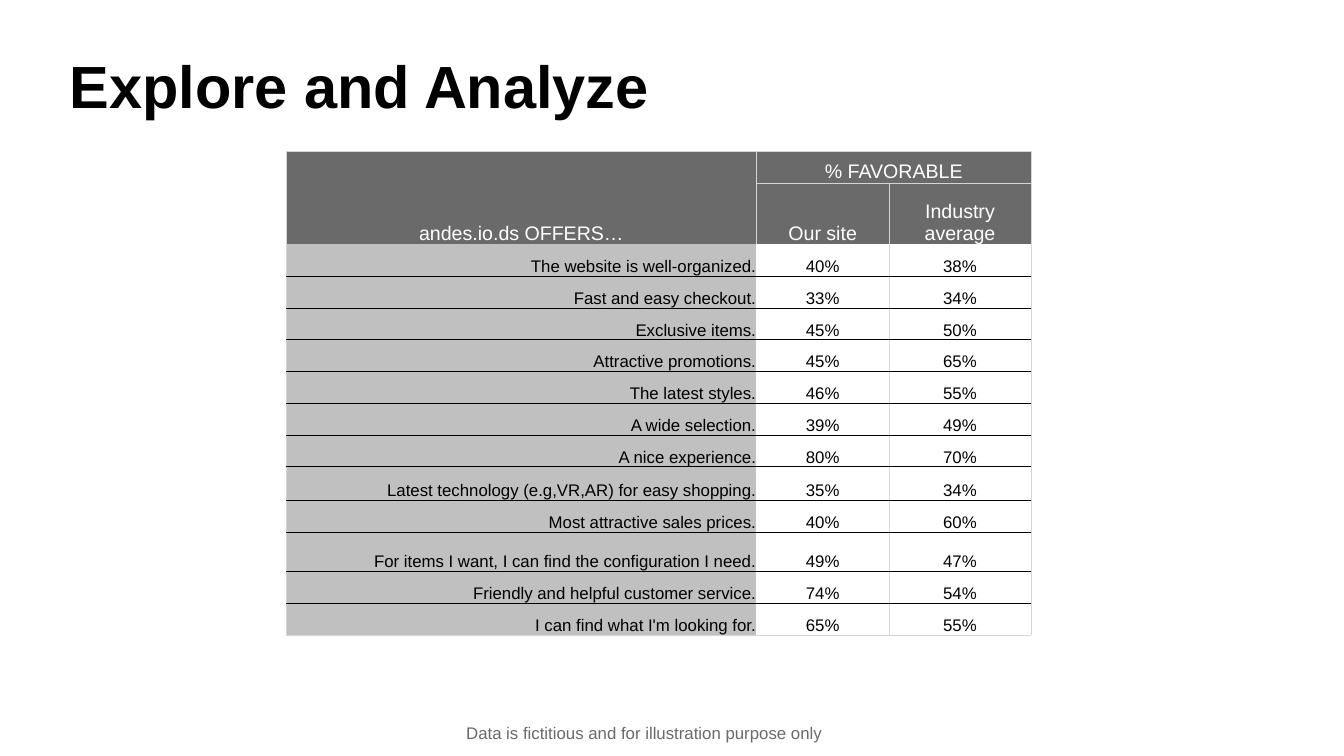
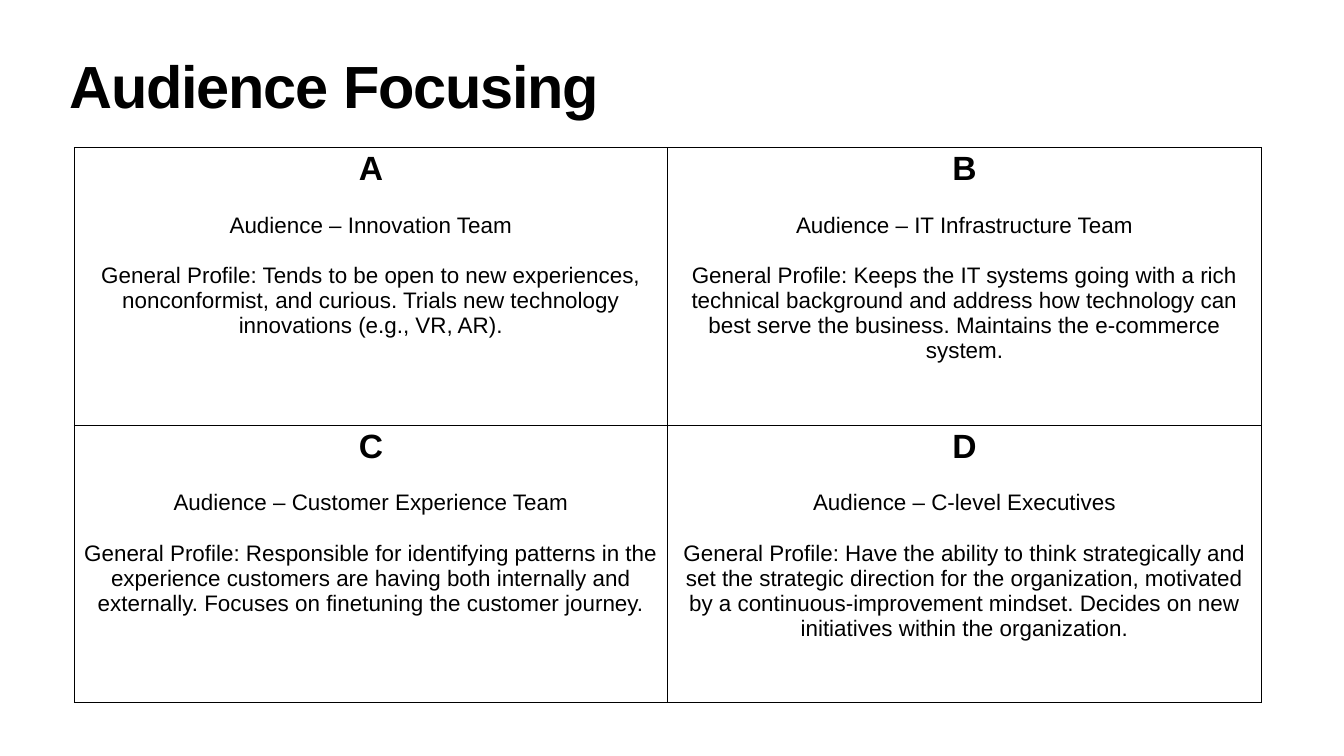
import dataclasses

import lxml.etree
import pptx
import pptx.dml.color
import pptx.enum.text
import pptx.oxml.ns
import pptx.util

Inches = pptx.util.Inches
Pt = pptx.util.Pt
ALIGN = pptx.enum.text.PP_ALIGN
ANCHOR = pptx.enum.text.MSO_ANCHOR
AUTO_SIZE = pptx.enum.text.MSO_AUTO_SIZE


@dataclasses.dataclass(frozen=True)
class Theme:
    font: str = "Arial"
    black: str = "000000"
    white: str = "FFFFFF"
    dark_gray: str = "6A6A6A"
    label_gray: str = "C0C0C0"
    rule_gray: str = "D5D5D5"
    title_size: float = 85
    letter_size: float = 48
    profile_size: float = 32
    header_size: float = 28
    body_size: float = 24
    profile_gap: float = 36
    rule_width: float = 1
    plain_table_style: str = "{2D5ABB26-0587-4C30-8999-92F81FD0307C}"


THEME = Theme()
TITLE_BOX = (1.32, 1.18, 24.03, 1.57)

SURVEY_COLUMNS = (9.33, 2.63, 2.82)
SURVEY_HEADER_HEIGHTS = (0.63, 1.22)
SURVEY_ROW_HEIGHT = 0.63
TALL_ROW_HEIGHTS = {7: 0.67, 9: 0.78}
SURVEY = [
    ("The website is well-organized.", 40, 38),
    ("Fast and easy checkout.", 33, 34),
    ("Exclusive items.", 45, 50),
    ("Attractive promotions.", 45, 65),
    ("The latest styles.", 46, 55),
    ("A wide selection.", 39, 49),
    ("A nice experience.", 80, 70),
    ("Latest technology (e.g,VR,AR) for easy shopping.", 35, 34),
    ("Most attractive sales prices.", 40, 60),
    ("For items I want, I can find the configuration I need.", 49, 47),
    ("Friendly and helpful customer service.", 74, 54),
    ("I can find what I'm looking for.", 65, 55),
]

AUDIENCES = [
    ("A", "Innovation Team",
     "Tends to be open to new experiences, nonconformist, and curious. "
     "Trials new technology innovations (e.g., VR, AR)."),
    ("B", "IT Infrastructure Team",
     "Keeps the IT systems going with a rich technical background and address how "
     "technology can best serve the business. Maintains the e-commerce system."),
    ("C", "Customer Experience Team",
     "Responsible for identifying patterns in the experience customers are having both "
     "internally and externally. Focuses on finetuning the customer journey."),
    ("D", "C-level Executives",
     "Have the ability to think strategically and set the strategic direction for the "
     "organization, motivated by a continuous-improvement mindset. "
     "Decides on new initiatives within the organization."),
]


def color(value):
    return pptx.dml.color.RGBColor.from_string(value)


def add_run(paragraph, text, size, text_color=THEME.black, bold=False):
    run = paragraph.add_run()
    run.text = text
    run.font.name = THEME.font
    run.font.size = Pt(size)
    run.font.bold = bold
    run.font.color.rgb = color(text_color)
    return run


def set_margins(target, left, top, right, bottom):
    target.margin_left, target.margin_top = Inches(left), Inches(top)
    target.margin_right, target.margin_bottom = Inches(right), Inches(bottom)


def add_titled_slide(presentation, title, spacing=0):
    """Add a slide; spacing is the title's letter spacing in points."""
    slide = presentation.slides.add_slide(presentation.slide_layouts[5])
    shape = slide.shapes.title
    shape.left, shape.top, shape.width, shape.height = map(Inches, TITLE_BOX)
    frame = shape.text_frame
    frame.word_wrap = True
    frame.auto_size = AUTO_SIZE.NONE
    frame.vertical_anchor = ANCHOR.TOP
    set_margins(frame, 0.06, 0.06, 0.06, 0.06)
    paragraph = frame.paragraphs[0]
    paragraph.alignment = ALIGN.LEFT
    paragraph.line_spacing = 0.8
    run = add_run(paragraph, title, THEME.title_size, bold=True)
    if spacing:
        run.font._element.set("spc", str(round(spacing * 100)))
    return slide


def add_plain_table(slide, left, top, column_widths, row_heights):
    frame = slide.shapes.add_table(
        len(row_heights), len(column_widths), Inches(left), Inches(top),
        Inches(sum(column_widths)), Inches(sum(row_heights)))
    table = frame.table
    table.first_row = table.horz_banding = False
    style = table._tbl.tblPr.find(pptx.oxml.ns.qn("a:tableStyleId"))
    style.text = THEME.plain_table_style
    for column, width in zip(table.columns, column_widths):
        column.width = Inches(width)
    for row, height in zip(table.rows, row_heights):
        row.height = Inches(height)
    return table


def format_cell(cell, borders, fill=None):
    """Draw borders, a map from side (L, R, T, B) to colour or None, then the fill."""
    properties = cell._tc.get_or_add_tcPr()
    qn = pptx.oxml.ns.qn
    for side in "LRTB":
        line = lxml.etree.SubElement(
            properties, qn("a:ln" + side), w=str(Pt(THEME.rule_width)))
        if borders.get(side):
            solid = lxml.etree.SubElement(line, qn("a:solidFill"))
            lxml.etree.SubElement(solid, qn("a:srgbClr"), val=borders[side])
        else:
            lxml.etree.SubElement(line, qn("a:noFill"))
    if fill:
        cell.fill.solid()
        cell.fill.fore_color.rgb = color(fill)
    else:
        cell.fill.background()


def fill_survey_cell(cell, text, size, text_color, alignment):
    cell.vertical_anchor = ANCHOR.BOTTOM
    set_margins(cell, 0.01, 0.01, 0.01, 0)
    paragraph = cell.text_frame.paragraphs[0]
    paragraph.alignment = alignment
    add_run(paragraph, text, size, text_color)


def add_survey_header(table):
    gray = THEME.rule_gray
    table.cell(0, 0).merge(table.cell(1, 0))
    table.cell(0, 1).merge(table.cell(0, 2))
    for row in range(2):
        for column in range(3):
            borders = {"L": gray, "R": gray}
            if row == 0 or column > 0:
                borders["T"] = gray
            if row == 0 and column > 0:
                borders["B"] = gray
            format_cell(table.cell(row, column), borders, THEME.dark_gray)
    headings = {(0, 0): "andes.io.ds OFFERS…", (0, 1): "% FAVORABLE",
                (1, 1): "Our site", (1, 2): "Industry average"}
    for position, text in headings.items():
        fill_survey_cell(table.cell(*position), text, THEME.header_size,
                         THEME.white, ALIGN.CENTER)


def add_survey_rows(table):
    gray, black = THEME.rule_gray, THEME.black
    last = len(SURVEY) - 1
    for index, (label, *scores) in enumerate(SURVEY):
        texts = [label] + [f"{score}%" for score in scores]
        for column, text in enumerate(texts):
            is_label = column == 0
            cell = table.cell(index + len(SURVEY_HEADER_HEIGHTS), column)
            borders = {"L": None if column == 1 else gray,
                       "R": None if is_label else gray,
                       "T": black if index else None,
                       "B": gray if index == last else black}
            format_cell(cell, borders, THEME.label_gray if is_label else None)
            fill_survey_cell(cell, text, THEME.body_size, black,
                             ALIGN.RIGHT if is_label else ALIGN.CENTER)


def add_survey_table(slide, left, top):
    heights = list(SURVEY_HEADER_HEIGHTS) + [
        TALL_ROW_HEIGHTS.get(index, SURVEY_ROW_HEIGHT) for index in range(len(SURVEY))]
    table = add_plain_table(slide, left, top, SURVEY_COLUMNS, heights)
    add_survey_header(table)
    add_survey_rows(table)


def add_disclaimer(slide, left, top, width, height):
    shape = slide.shapes.add_textbox(*map(Inches, (left, top, width, height)))
    frame = shape.text_frame
    frame.word_wrap = False
    frame.auto_size = AUTO_SIZE.SHAPE_TO_FIT_TEXT
    frame.vertical_anchor = ANCHOR.MIDDLE
    set_margins(frame, 0.05, 0.05, 0.05, 0.05)
    add_run(frame.paragraphs[0], "Data is fictitious and for illustration purpose only",
            THEME.body_size, THEME.dark_gray)


def fill_audience_cell(cell, letter, team, profile):
    frame = cell.text_frame
    heading = frame.paragraphs[0]
    heading.alignment = ALIGN.CENTER
    add_run(heading, letter, THEME.letter_size, bold=True)
    for text in (f"Audience – {team}", f"General Profile: {profile}"):
        paragraph = frame.add_paragraph()
        paragraph.alignment = ALIGN.CENTER
        paragraph.space_before = Pt(THEME.profile_gap)
        add_run(paragraph, text, THEME.profile_size)


def add_audience_grid(slide, left, top, width, height):
    table = add_plain_table(slide, left, top, [width / 2] * 2, [height / 2] * 2)
    for index, audience in enumerate(AUDIENCES):
        cell = table.cell(*divmod(index, 2))
        format_cell(cell, dict.fromkeys("LRTB", THEME.black))
        fill_audience_cell(cell, *audience)


def main():
    presentation = pptx.Presentation()
    presentation.slide_width = Inches(26.67)
    presentation.slide_height = Inches(15)

    survey_slide = add_titled_slide(presentation, "Explore and Analyze")
    add_survey_table(survey_slide, 5.68, 3)
    add_disclaimer(survey_slide, 9.2, 14.28, 7.24, 0.51)

    audience_slide = add_titled_slide(presentation, "Audience Focusing", spacing=-1.7)
    add_audience_grid(audience_slide, 1.47, 2.93, 23.56, 11.01)

    presentation.save("out.pptx")


if __name__ == "__main__":
    main()
